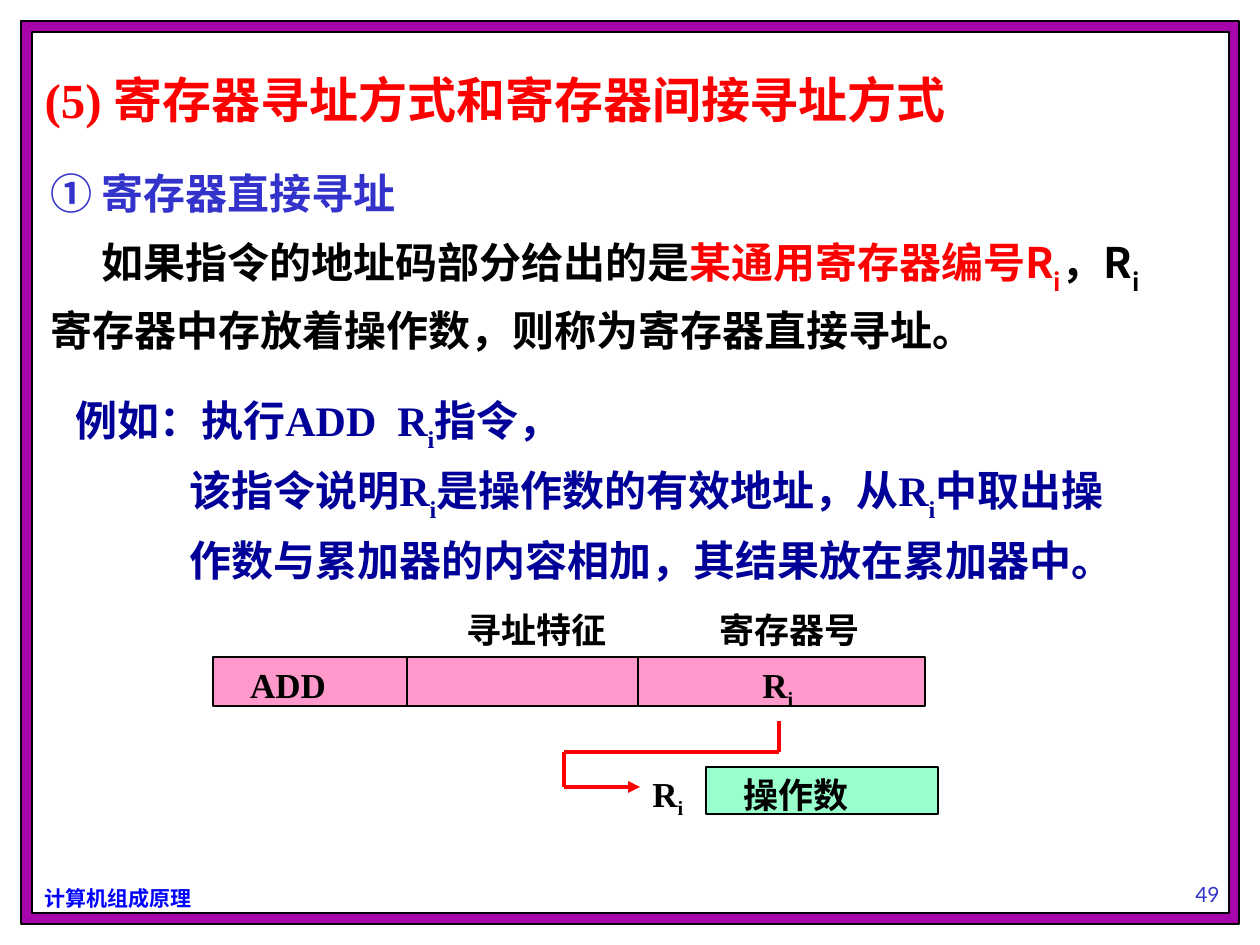
"""Build the slide on register direct addressing."""
from dataclasses import dataclass
from itertools import pairwise
from typing import NamedTuple

import lxml.etree
import pptx
import pptx.dml.color
import pptx.enum.shapes
import pptx.enum.text
import pptx.oxml
import pptx.oxml.ns
import pptx.util

EMU_PER_PX = 914400 / 126
SERIF = "Times New Roman"
CJK = "Noto Sans CJK SC"
BLACK, RED, NAVY, BLUE = "000000", "FF0000", "000099", "3333CC"


class Box(NamedTuple):
    left: int
    top: int
    width: int
    height: int


class Run(NamedTuple):
    text: str
    color: str | None = None
    baseline: int = 0


@dataclass
class Para:
    runs: list[Run]
    size: int
    color: str = BLACK
    font: str = SERIF
    bold: bool = True
    before: int = 0
    spacing: float | None = None
    margin: int = 0
    indent: int = 0
    align: str = "LEFT"


@dataclass
class Label:
    box: Box
    paras: list[Para]
    wrap: bool = True
    anchor: str = "TOP"


def px(length: int) -> int:
    """Turn px into EMU."""
    return pptx.util.Emu(round(length * EMU_PER_PX))


def rgb(color: str) -> pptx.dml.color.RGBColor:
    """Turn a hex string into a colour."""
    return pptx.dml.color.RGBColor.from_string(color)


def add_child(parent, tag: str, **attributes: str) -> None:
    """Append a DrawingML element."""
    child = lxml.etree.SubElement(parent, pptx.oxml.ns.qn(tag))
    for key, value in attributes.items():
        child.set(key, value)


def write(frame, paras: list[Para], wrap: bool = True, anchor: str = "TOP") -> None:
    """Fill a text frame with formatted paragraphs."""
    frame.auto_size = pptx.enum.text.MSO_AUTO_SIZE.NONE
    frame.word_wrap = wrap
    frame.vertical_anchor = pptx.enum.text.MSO_ANCHOR[anchor]
    for index, para in enumerate(paras):
        paragraph = frame.add_paragraph() if index else frame.paragraphs[0]
        paragraph.alignment = pptx.enum.text.PP_ALIGN[para.align]
        if para.before:
            paragraph.space_before = pptx.util.Pt(para.before)
        if para.spacing:
            paragraph.line_spacing = para.spacing
        properties = paragraph._p.get_or_add_pPr()
        properties.set("marL", str(px(para.margin)))
        properties.set("indent", str(px(para.indent)))
        font = paragraph.font
        font.size, font.bold = pptx.util.Pt(para.size), para.bold
        font.color.rgb = rgb(para.color)
        font.name = para.font
        add_child(properties.find(pptx.oxml.ns.qn("a:defRPr")), "a:ea", typeface=CJK)
        for part in para.runs:
            run = paragraph.add_run()
            run.text = part.text
            if part.color:
                run.font.color.rgb = rgb(part.color)
            if part.baseline:
                run._r.get_or_add_rPr().set("baseline", str(part.baseline * 1000))


def draw_rect(slide, box: Box, fill: str, weight: float):
    """Draw a filled rectangle with a black outline."""
    rect = slide.shapes.add_shape(
        pptx.enum.shapes.MSO_SHAPE.RECTANGLE, *map(px, box))
    rect.shadow.inherit = False
    rect.fill.solid()
    rect.fill.fore_color.rgb = rgb(fill)
    rect.line.color.rgb = rgb(BLACK)
    rect.line.width = pptx.util.Pt(weight)
    return rect


def draw_field(slide, box: Box, fill: str, content: str) -> None:
    """Draw a rectangle whose text starts a little way in."""
    field = draw_rect(slide, box, fill, 1)
    field.text_frame.margin_left = px(37)
    write(field.text_frame, [Para([Run(content)], 20)])


def draw_line(slide, start: tuple[int, int], end: tuple[int, int],
              color: str, weight: float, arrow: bool = False) -> None:
    """Draw a straight line, with an arrowhead at its end if asked."""
    line = slide.shapes.add_connector(
        pptx.enum.shapes.MSO_CONNECTOR.STRAIGHT, *map(px, start + end))
    line.line.color.rgb = rgb(color)
    line.line.width = pptx.util.Pt(weight)
    if arrow:
        add_child(line.line._get_or_add_ln(), "a:tailEnd", type="triangle")
    add_child(line._element.spPr, "a:effectLst")


def draw_label(slide, label: Label) -> None:
    """Draw a text box."""
    box = slide.shapes.add_textbox(*map(px, label.box))
    write(box.text_frame, label.paras, label.wrap, label.anchor)


SUB = Run("i", baseline=-30)
REGISTER = Para([Run("R"), Run("i", baseline=-25)], 20)
TITLE = Para([Run("(5) 寄存器寻址方式和寄存器间接寻址方式")], 28, RED)
DEFINITION = [
    Para([Run("① 寄存器直接寻址")], 24, BLUE, CJK),
    Para([Run("如果指令的地址码部分给出的是"), Run("某通用寄存器编号R", RED),
          SUB._replace(color=RED), Run("，R"), SUB,
          Run("寄存器中存放着操作数，则称为寄存器直接寻址。")],
         24, font=CJK, before=6, spacing=1.15, indent=51),
]
EXAMPLE = [
    Para([Run("例如：执行ADD  R"), SUB, Run("指令，")], 24, NAVY),
    Para([Run("该指令说明R"), SUB, Run("是操作数的有效地址，从R"), SUB,
          Run("中取出操")], 24, NAVY, before=6, margin=114),
    Para([Run("作数与累加器的内容相加，其结果放在累加器中。")],
         24, NAVY, before=6, margin=114),
]
LABELS = [
    Label(Box(32, 879, 171, 38), [Para([Run("计算机组成原理")], 12, "0000FF", CJK)],
          wrap=False),
    Label(Box(1092, 850, 231, 63),
          [Para([Run("49")], 12, BLUE, "Lato", bold=False, align="CENTER")],
          anchor="BOTTOM"),
    Label(Box(38, 161, 1155, 200), DEFINITION),
    Label(Box(63, 388, 1128, 203), EXAMPLE),
    Label(Box(750, 657, 116, 49), [REGISTER]),
    Label(Box(640, 766, 116, 53), [REGISTER]),
    Label(Box(454, 602, 165, 55), [Para([Run("寻址特征")], 20)], wrap=False),
    Label(Box(707, 602, 165, 55), [Para([Run("寄存器号")], 20)], wrap=False),
]
INSTRUCTION = Box(213, 657, 712, 49)
FIELD_EDGES = (407, 638)
OPERAND = Box(706, 767, 232, 47)
ROUTE = [(779, 721), (779, 752), (564, 752), (564, 787), (640, 787)]


def main() -> None:
    """Build and save the slide."""
    deck = pptx.Presentation()
    deck.slide_width, deck.slide_height = px(1260), px(945)
    slide = deck.slides.add_slide(deck.slide_layouts[5])

    draw_rect(slide, Box(21, 21, 1218, 903), "A603AB", 0.75)
    draw_rect(slide, Box(32, 32, 1197, 881), "FFFFFF", 0.75)

    title = slide.shapes.title
    title.left, title.top, title.width, title.height = map(px, Box(32, 63, 1072, 72))
    write(title.text_frame, [TITLE])
    slide.shapes._spTree.append(title._element)

    draw_field(slide, INSTRUCTION, "FF99CC", "ADD")
    for edge in FIELD_EDGES:
        draw_line(slide, (edge, INSTRUCTION.top),
                  (edge, INSTRUCTION.top + INSTRUCTION.height), BLACK, 1)
    draw_field(slide, OPERAND, "99FFCC", "操作数")

    for start, end in pairwise(ROUTE):
        draw_line(slide, start, end, RED, 2.25, arrow=end == ROUTE[-1])
    for label in LABELS:
        draw_label(slide, label)

    deck.save("out.pptx")


if __name__ == "__main__":
    main()
